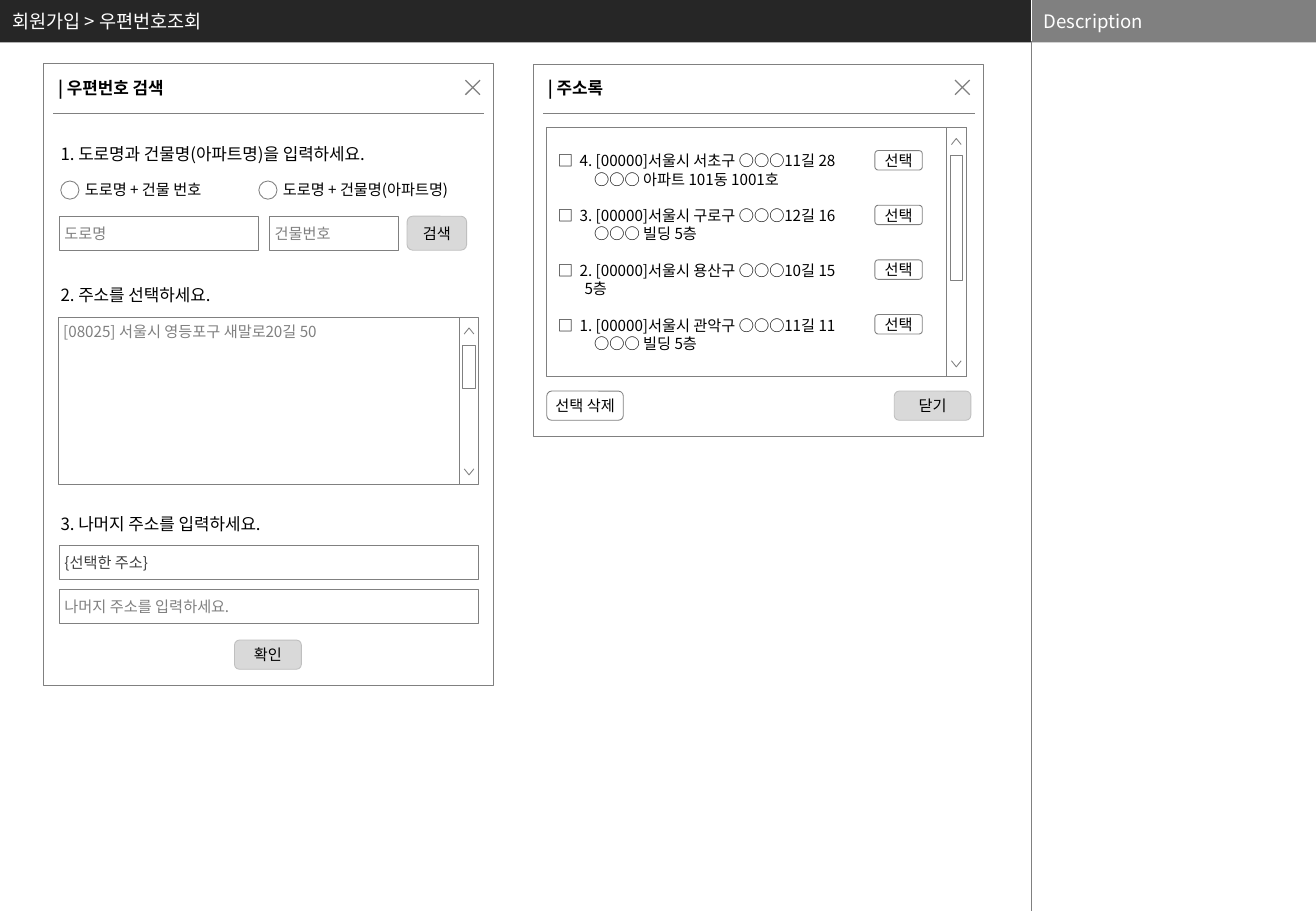
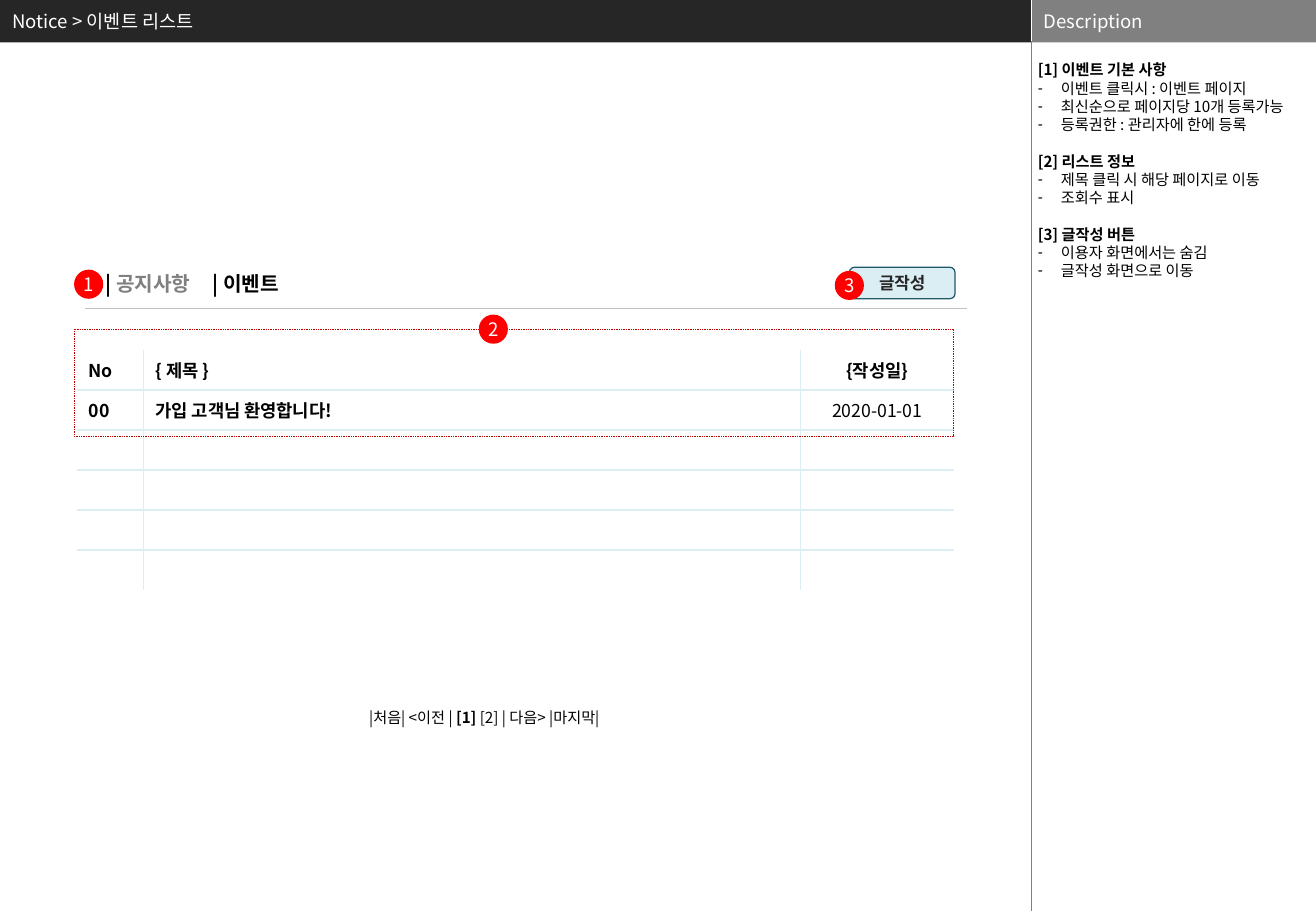
"""Builds two screen-design slides: a postcode search and an event list."""
from dataclasses import dataclass

from lxml.etree import SubElement
from pptx import Presentation
from pptx.dml.color import RGBColor
from pptx.enum.dml import MSO_LINE
from pptx.enum.shapes import MSO_CONNECTOR, MSO_SHAPE as SHAPE
from pptx.enum.text import MSO_ANCHOR as ANCHOR, MSO_AUTO_SIZE, PP_ALIGN as ALIGN
from pptx.oxml.ns import qn
from pptx.util import Inches, Pt


@dataclass(frozen=True)
class Theme:
    font: str = "Noto Sans CJK KR"
    black: str = "000000"
    white: str = "FFFFFF"
    band: str = "262626"
    grey: str = "808080"
    dark_grey: str = "404040"
    button: str = "D9D9D9"
    button_edge: str = "BFBFBF"
    pale_blue: str = "DBEEF4"
    teal: str = "215968"
    red: str = "FF0000"
    dark_red: str = "C00000"
    small: float = 9
    medium: float = 10
    cell: float = 10.5
    title: float = 11
    tab: float = 12
    entry_gap: float = 10.8


theme = Theme()


def write(paragraph, text, size=theme.small, colour=theme.black, bold=False):
    run = paragraph.add_run()
    run.text = text
    for key, value in {"size": Pt(size), "bold": bold, "name": theme.font}.items():
        setattr(run.font, key, value)
    run.font.color.rgb = RGBColor.from_string(colour)
    SubElement(run.font._element, qn("a:ea"), typeface=theme.font)


def add(slide, kind, box, text="", fill=None, edge=None, weight=0.5,
        align=ALIGN.LEFT, anchor=ANCHOR.MIDDLE, **font):
    place = [Inches(value) for value in box]
    if kind is None:
        shape = slide.shapes.add_textbox(*place)
    else:
        shape = slide.shapes.add_shape(kind, *place)
        shape.shadow.inherit = False
    for paint, colour in ((shape.fill, fill), (shape.line.fill, edge)):
        if colour:
            paint.solid()
            paint.fore_color.rgb = RGBColor.from_string(colour)
        else:
            paint.background()
    if edge:
        shape.line.width = Pt(weight)
    side = Inches(0.1 if kind is None else 0.04)
    frame_format = {"word_wrap": True, "vertical_anchor": anchor,
                    "margin_left": side, "margin_right": side,
                    "margin_top": Inches(0.04), "margin_bottom": Inches(0.04)}
    for key, value in frame_format.items():
        setattr(shape.text_frame, key, value)
    if text:
        shape.text_frame.paragraphs[0].alignment = align
        write(shape.text_frame.paragraphs[0], text, **font)
    return shape


prs = Presentation()
prs.slide_width, prs.slide_height = Inches(10.83), Inches(7.5)
layout = prs.slide_layouts[1]
for holder in list(layout.placeholders):
    if holder.placeholder_format.idx > 1:
        holder.element.getparent().remove(holder.element)
postcode, events = [prs.slides.add_slide(layout) for _ in range(2)]

shared = [
    add(postcode, SHAPE.RECTANGLE, (0, 0, 8.49, 0.35), fill=theme.band),
    add(postcode, SHAPE.RECTANGLE, (8.49, 0, 2.34, 0.35), fill=theme.grey),
    add(postcode, None, (8.49, 0, 2.34, 0.34), "Description",
        size=theme.title, colour=theme.white),
]
rules = [
    (postcode, (8.49, 0, 8.49, 0.35), theme.white, 0.25, True),
    (postcode, (8.49, 0.34, 8.49, 7.5), theme.grey, 0.25, True),
    (postcode, (0.44, 0.93, 3.98, 0.93), theme.grey, 0.5, False),
    (postcode, (4.47, 0.93, 8.02, 0.93), theme.grey, 0.5, False),
    (events, (0.7, 2.54, 7.96, 2.54), theme.button_edge, 0.75, False),
]
for slide, ends, colour, weight, is_shared in rules:
    rule = slide.shapes.add_connector(
        MSO_CONNECTOR.STRAIGHT, *[Inches(value) for value in ends])
    rule.line.color.rgb = RGBColor.from_string(colour)
    rule.line.width = Pt(weight)
    SubElement(rule.element.spPr, qn("a:effectLst"))
    if is_shared:
        shared.append(rule)
for part in shared:
    layout.shapes.element.append(part.element)

title_place = {"left": 0, "top": 0, "width": Inches(8.25), "height": Inches(0.35)}
title_format = {"vertical_anchor": ANCHOR.MIDDLE, "auto_size": MSO_AUTO_SIZE.NONE}
for key, value in title_place.items():
    setattr(layout.placeholders[0], key, value)
for slide, heading in ((postcode, "회원가입 > 우편번호조회"),
                       (events, "Notice > 이벤트 리스트")):
    frame = slide.shapes.title.text_frame
    for key, value in title_format.items():
        setattr(frame, key, value)
    frame.paragraphs[0].alignment = ALIGN.LEFT
    write(frame.paragraphs[0], heading, theme.title, theme.white)

unused = postcode.placeholders[1].element
unused.getparent().remove(unused)

marks = []
for left, top, height, heading in ((0.36, 0.52, 5.12, "| 우편번호 검색"),
                                   (4.39, 0.53, 3.06, "| 주소록")):
    add(postcode, SHAPE.RECTANGLE, (left, top, 3.7, height), edge=theme.grey)
    add(postcode, None, (left + 0.02, 0.59, 1.4, 0.27), heading,
        size=theme.medium, bold=True)
    near, far = left + 3.47, left + 3.59
    marks.append((0.75, [[(far, 0.66), (near, 0.78)], [(near, 0.66), (far, 0.78)]]))

for top, step in ((1.13, "1. 도로명과 건물명(아파트명)을 입력하세요."),
                  (2.29, "2. 주소를 선택하세요."),
                  (4.18, "3. 나머지 주소를 입력하세요.")):
    add(postcode, None, (0.4, top, 3.2, 0.27), step, size=theme.medium)

for left, choice in ((0.5, "도로명 + 건물 번호"), (2.13, "도로명 + 건물명(아파트명)")):
    add(postcode, SHAPE.OVAL, (left, 1.49, 0.15, 0.15), fill=theme.white, edge=theme.grey)
    add(postcode, None, (left + 0.1, 1.44, 1.8, 0.23), choice)

for left, top, width, hint, colour in (
        (0.49, 1.78, 1.64, "도로명", theme.grey),
        (2.22, 1.78, 1.06, "건물번호", theme.grey),
        (0.49, 4.49, 3.45, "{선택한 주소}", theme.dark_grey),
        (0.49, 4.85, 3.45, "나머지 주소를 입력하세요.", theme.grey)):
    add(postcode, SHAPE.RECTANGLE, (left, top, width, 0.28), hint,
        fill=theme.white, edge=theme.grey, colour=colour)

add(postcode, SHAPE.RECTANGLE, (0.48, 2.61, 3.39, 1.38),
    "[08025] 서울시 영등포구 새말로20길 50",
    edge=theme.grey, anchor=ANCHOR.TOP, colour=theme.grey)

book = add(postcode, SHAPE.RECTANGLE, (4.5, 1.05, 3.45, 2.05), edge=theme.grey)
addresses = [
    ("4. [00000]서울시 서초구 ○○○11길 28", "○○○ 아파트 101동 1001호", 0.35),
    ("3. [00000]서울시 구로구 ○○○12길 16", "○○○ 빌딩 5층", 0.35),
    ("2. [00000]서울시 용산구 ○○○10길 15", "5층", 0.27),
    ("1. [00000]서울시 관악구 ○○○11길 11", "○○○ 빌딩 5층", 0.35),
]
for row, (street, detail, detail_indent) in enumerate(addresses):
    for text, margin, indent, gap in (
            ("□\t" + street, 0.23, -0.18, theme.entry_gap if row else 0),
            (detail, detail_indent, 0, 0)):
        is_first = row == 0 and indent
        line = book.text_frame.paragraphs[0] if is_first else book.text_frame.add_paragraph()
        line.alignment, line.space_before = ALIGN.LEFT, Pt(gap)
        properties = line._p.get_or_add_pPr()
        properties.set("marL", str(Inches(margin)))
        properties.set("indent", str(Inches(indent)))
        write(line, text)
    add(postcode, SHAPE.ROUNDED_RECTANGLE, (7.2, 1.24 + 0.45 * row, 0.39, 0.16), "선택",
        edge=theme.grey, align=ALIGN.CENTER)

for box, label, fill, edge in (
        ((3.35, 1.78, 0.49, 0.28), "검색", theme.button, theme.button_edge),
        ((1.93, 5.27, 0.55, 0.24), "확인", theme.button, theme.button_edge),
        ((7.36, 3.22, 0.63, 0.24), "닫기", theme.button, theme.button_edge),
        ((4.5, 3.22, 0.63, 0.24), "선택 삭제", None, theme.grey)):
    add(postcode, SHAPE.ROUNDED_RECTANGLE, box, label, fill=fill, edge=edge,
        align=ALIGN.CENTER)

for left, top, height, thumb in ((3.78, 2.61, 1.38, 0.36), (7.79, 1.05, 2.05, 1.03)):
    for box in ((left, top, 0.16, height), (left + 0.03, top + 0.23, 0.1, thumb)):
        add(postcode, SHAPE.RECTANGLE, box, fill=theme.white, edge=theme.grey)
    bottom = top + height
    for base, tip in ((top + 0.14, top + 0.09), (bottom - 0.13, bottom - 0.08)):
        marks.append((0.5, [[(left + 0.04, base), (left + 0.08, tip), (left + 0.12, base)]]))

for weight, strokes in marks:
    pen = None
    for stroke in strokes:
        points = [(Inches(x), Inches(y)) for x, y in stroke]
        if pen is None:
            pen = postcode.shapes.build_freeform(*points[0])
        else:
            pen.move_to(*points[0])
        pen.add_line_segments(points[1:], close=False)
    mark = pen.convert_to_shape()
    mark.shadow.inherit = False
    mark.fill.background()
    mark.line.color.rgb = RGBColor.from_string(theme.grey)
    mark.line.width = Pt(weight)

rows = [("No", "{ 제목 }", "{작성일}"),
        ("00", "가입 고객님 환영합니다!", "2020-01-01")] + [("", "", "")] * 4
table = events.shapes.add_table(
    len(rows), 3, Inches(0.63), Inches(2.88), Inches(7.22), Inches(1.98)).table
table.first_row = table.horz_banding = False
for column, width in zip(table.columns, (0.55, 5.41, 1.26)):
    column.width = Inches(width)
for r, row in enumerate(rows):
    table.rows[r].height = Inches(0.33)
    for c, text in enumerate(row):
        cell = table.cell(r, c)
        cell.vertical_anchor = ANCHOR.MIDDLE
        properties = cell._tc.get_or_add_tcPr()
        for edge, is_inner in (("lnL", c > 0), ("lnR", c < 2),
                               ("lnT", r > 0), ("lnB", r < len(rows) - 1)):
            border = SubElement(properties, qn("a:" + edge), w=str(Pt(1)))
            if is_inner:
                paint = SubElement(border, qn("a:solidFill"))
                SubElement(paint, qn("a:srgbClr"), val=theme.pale_blue)
            else:
                SubElement(border, qn("a:noFill"))
        cell.fill.solid()
        cell.fill.fore_color.rgb = RGBColor.from_string(theme.white)
        line = cell.text_frame.paragraphs[0]
        line.alignment = ALIGN.CENTER if c == 2 else ALIGN.LEFT
        if text:
            write(line, text, theme.cell, bold=r == 0 or c < 2)
        else:
            SubElement(line._p, qn("a:endParaRPr"), sz=str(int(theme.cell * 100)))

description = events.placeholders[1]
for key, value in {"left": 8.5, "top": 0.5, "width": 2.33, "height": 7}.items():
    setattr(description, key, Inches(value))
notes = description.text_frame
for key, value in {"margin_left": Inches(0.04), "margin_right": Inches(0.04),
                   "margin_top": 0, "margin_bottom": 0,
                   "vertical_anchor": ANCHOR.TOP,
                   "auto_size": MSO_AUTO_SIZE.NONE}.items():
    setattr(notes, key, value)
sections = {
    "[1] 이벤트 기본 사항": ["이벤트 클릭시 : 이벤트 페이지",
                      "최신순으로 페이지당 10개 등록가능", "등록권한 : 관리자에 한에 등록"],
    "[2] 리스트 정보": ["제목 클릭 시 해당 페이지로 이동", "조회수 표시"],
    "[3] 글작성 버튼": ["이용자 화면에서는 숨김", "글작성 화면으로 이동"],
}
for number, (heading, items) in enumerate(sections.items()):
    for i, text in enumerate([heading] + items):
        line = notes.add_paragraph() if number or i else notes.paragraphs[0]
        line.space_before = Pt(theme.entry_gap if number and i == 0 else 0)
        properties = line._p.get_or_add_pPr()
        indent = Inches(0.19) if i else 0
        properties.set("marL", str(indent))
        properties.set("indent", str(-indent))
        if i:
            SubElement(properties, qn("a:buChar"), char="-")
        else:
            SubElement(properties, qn("a:buNone"))
        write(line, text, bold=i == 0)

notice_tab = add(events, None, (0.77, 2.18, 1.32, 0.3), "| ", size=theme.tab, bold=True)
write(notice_tab.text_frame.paragraphs[0], "공지사항", theme.tab, theme.grey, True)
add(events, None, (1.65, 2.18, 1.32, 0.3), "| 이벤트", size=theme.tab, bold=True)

pager = add(events, None, (2.94, 5.78, 2.6, 0.25), "|처음| <이전 | ")
write(pager.text_frame.paragraphs[0], "[1]", bold=True)
write(pager.text_frame.paragraphs[0], " [2] | 다음> |마지막|")

list_area = add(events, SHAPE.RECTANGLE, (0.61, 2.71, 7.24, 0.88), edge=theme.dark_red)
list_area.line.dash_style = MSO_LINE.ROUND_DOT
add(events, SHAPE.ROUNDED_RECTANGLE, (6.99, 2.2, 0.87, 0.26), "글작성",
    fill=theme.pale_blue, edge=theme.teal, weight=0.75, align=ALIGN.CENTER,
    size=theme.medium, colour=theme.band, bold=True)
for number, (left, top) in enumerate(((0.61, 2.22), (3.94, 2.59), (6.87, 2.23)), 1):
    add(events, SHAPE.OVAL, (left, top, 0.24, 0.24), str(number), fill=theme.red,
        align=ALIGN.CENTER, size=theme.title, colour=theme.white)

prs.save("out.pptx")
